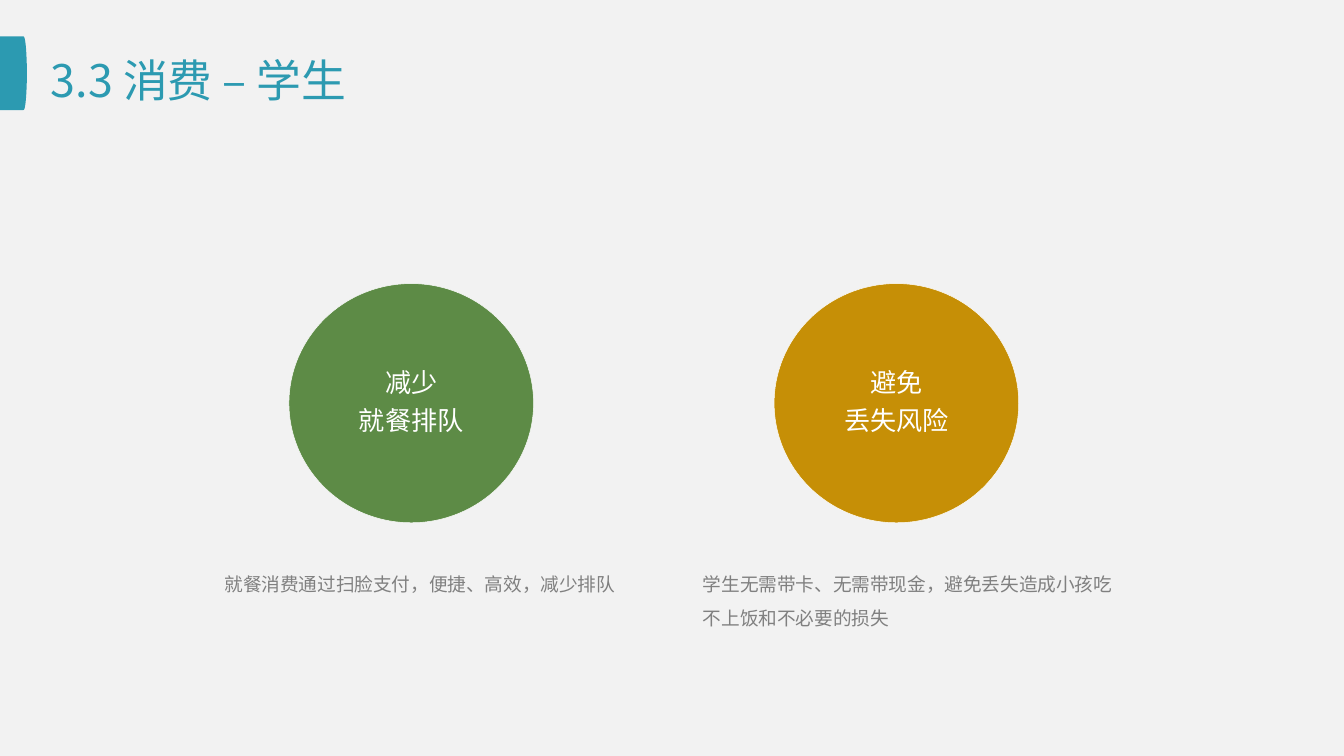
from lxml.etree import SubElement
from pptx import Presentation
from pptx.dml.color import RGBColor
from pptx.enum.shapes import MSO_SHAPE as Preset
from pptx.enum.text import MSO_ANCHOR as Anchor, PP_ALIGN as Align
from pptx.oxml.ns import qn
from pptx.util import Inches, Pt

FONT = "Noto Sans CJK SC"
TEAL, GREY, WHITE = "2C9AB1", "808080", "FFFFFF"
BENEFITS = [
    (2.15, 1.6, 0.3, "5D8B46", "减少\n就餐排队", "就餐消费通过扫脸支付，便捷、高效，减少排队"),
    (5.76, 5.16, 0.58, "C68F06", "避免\n丢失风险",
     "学生无需带卡、无需带现金，避免丢失造成小孩吃不上饭和不必要的损失"),
]


def paint(target, color):
    """Give a fill a solid hex colour."""
    target.solid()
    target.fore_color.rgb = RGBColor.from_string(color)


def write(frame, text, size, color, insets, anchor=Anchor.TOP):
    """Set the text of a frame and format all its runs."""
    frame.text = text
    frame.word_wrap = True
    frame.vertical_anchor = anchor
    frame.margin_left = frame.margin_right = Inches(insets[0])
    frame.margin_top = frame.margin_bottom = Inches(insets[1])
    for paragraph in frame.paragraphs:
        for run in paragraph.runs:
            run.font.size = Pt(size)
            run.font.name = FONT
            run.font.color.rgb = RGBColor.from_string(color)
            SubElement(run.font._element, qn("a:ea"), typeface=FONT)


def add_figure(slide, preset, box, color):
    """Add a filled preset shape without shadow or outline."""
    figure = slide.shapes.add_shape(preset, *map(Inches, box))
    figure.shadow.inherit = False
    paint(figure.fill, color)
    figure.line.fill.background()
    return figure


def add_title(slide, text):
    """Add the slide title with the rounded tab at its left."""
    add_figure(slide, Preset.RECTANGLE, (0, 0.27, 0.17, 0.55), TEAL)
    add_figure(slide, Preset.OVAL, (0.15, 0.27, 0.05, 0.55), TEAL)
    title = slide.shapes.add_textbox(*map(Inches, (0.28, 0.29, 9, 0.6)))
    write(title.text_frame, text, 24, TEAL, (0.1, 0.05), Anchor.MIDDLE)


def add_circle(slide, left, color, label):
    """Add a coloured circle with a centred label."""
    circle = add_figure(slide, Preset.OVAL, (left, 2.11, 1.82, 1.78), color)
    paint(circle.line.fill, WHITE)
    circle.line.width = Pt(0.25)
    write(circle.text_frame, label, 14, WHITE, (0.21, 0.21), Anchor.MIDDLE)
    for paragraph in circle.text_frame.paragraphs:
        paragraph.alignment = Align.CENTER
        paragraph.line_spacing = 0.9
        paragraph.space_after = Pt(4.9)


def add_caption(slide, left, height, text):
    """Add the explanation below a circle."""
    caption = slide.shapes.add_textbox(*map(Inches, (left, 4.14, 3.32, height)))
    write(caption.text_frame, text, 10, GREY, (0.07, 0.04))
    caption.text_frame.paragraphs[0].line_spacing = 1.5


def main():
    """Build the slide and save it."""
    deck = Presentation()
    deck.slide_width = Inches(10)
    deck.slide_height = deck.slide_width * 9 // 16
    blank = deck.slide_layouts[6]
    slide = deck.slides.add_slide(blank)
    paint(slide.background.fill, "F2F2F2")
    add_title(slide, "3.3 消费 – 学生")
    for circle_left, caption_left, height, color, label, text in BENEFITS:
        add_circle(slide, circle_left, color, label)
        add_caption(slide, caption_left, height, text)
    deck.save("out.pptx")


if __name__ == "__main__":
    main()
